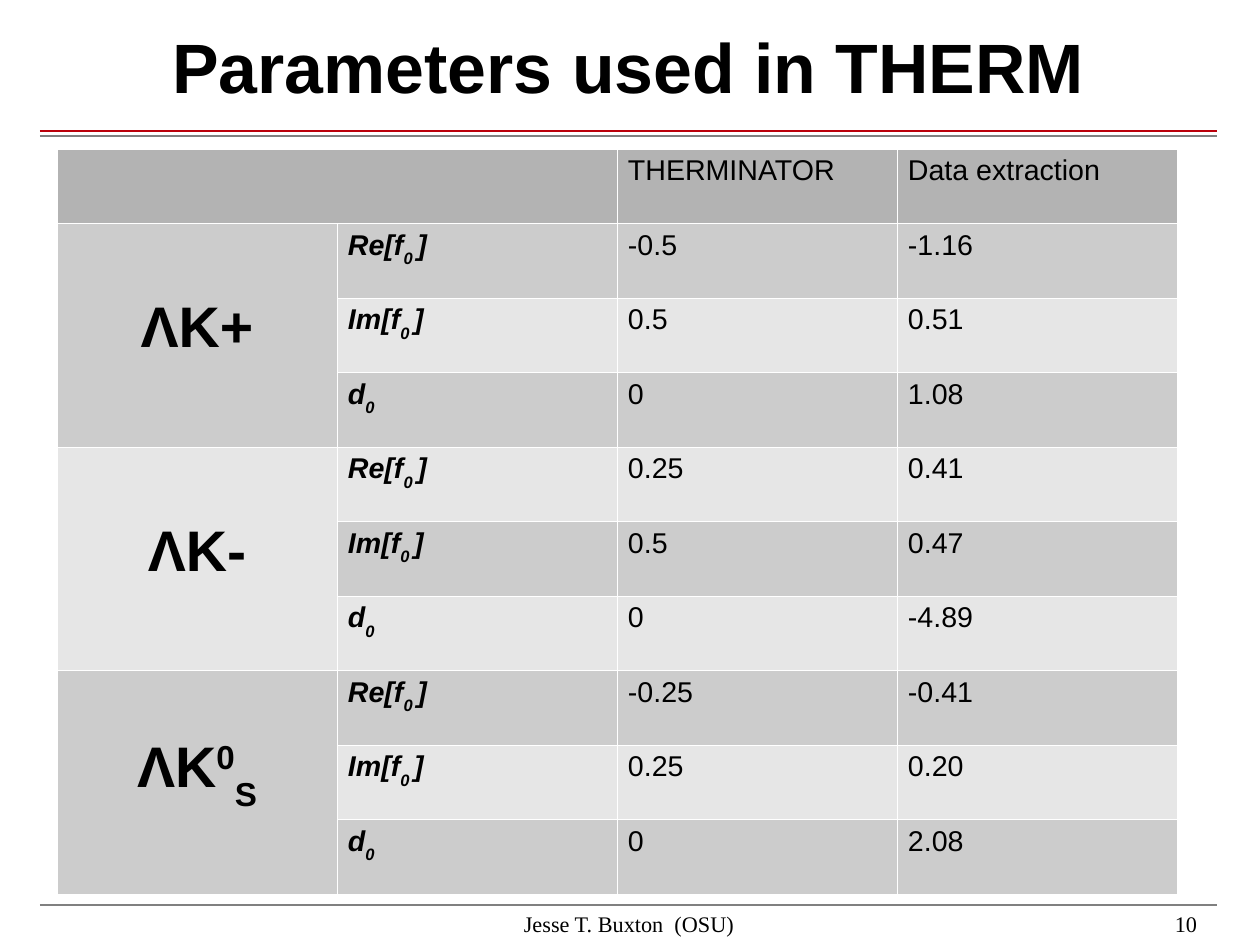
from lxml.etree import SubElement
from pptx import Presentation
from pptx.dml.color import RGBColor
from pptx.enum.shapes import MSO_CONNECTOR
from pptx.enum.text import MSO_ANCHOR, MSO_AUTO_SIZE, PP_ALIGN
from pptx.oxml.ns import qn
from pptx.util import Pt

PX = 8000
BLACK = RGBColor(0x00, 0x00, 0x00)
WHITE = RGBColor(0xFF, 0xFF, 0xFF)
GRAY = RGBColor(0x80, 0x80, 0x80)
RED = RGBColor(0xBB, 0x00, 0x0B)
HEADER = RGBColor(0xB3, 0xB3, 0xB3)
DARK = RGBColor(0xCC, 0xCC, 0xCC)
LIGHT = RGBColor(0xE6, 0xE6, 0xE6)


def add_runs(p, runs, size, font="Arial", bold=False, italic=False):
    for text, baseline in runs:
        r = p.add_run()
        r.text = text
        r.font.size = Pt(size)
        r.font.name = font
        r.font.bold = bold
        r.font.italic = italic
        r.font.color.rgb = BLACK
        if baseline:
            r._r.get_or_add_rPr().set("baseline", str(baseline * 1000))


def format_cell(cell, color):
    cell.margin_left = cell.margin_right = 11 * PX
    cell.margin_top = cell.margin_bottom = 6 * PX
    tcPr = cell._tc.get_or_add_tcPr()
    for side in ("a:lnL", "a:lnR", "a:lnT", "a:lnB"):
        ln = SubElement(tcPr, qn(side), w="720")
        fill = SubElement(ln, qn("a:solidFill"))
        SubElement(fill, qn("a:srgbClr"), val=str(WHITE))
    cell.fill.solid()
    cell.fill.fore_color.rgb = color


prs = Presentation()
prs.slide_width = 1260 * PX
prs.slide_height = 945 * PX
s = prs.slides.add_slide(prs.slide_layouts[5])
s.background.fill.solid()
s.background.fill.fore_color.rgb = WHITE

for y, color in ((905, GRAY), (136, GRAY), (131, RED)):
    line = s.shapes.add_connector(
        MSO_CONNECTOR.STRAIGHT, 40 * PX, y * PX, 1217 * PX, y * PX)
    line.line.color.rgb = color
    line.line.width = Pt(0.79)
    SubElement(line._element.spPr, qn("a:effectLst"))

title = s.shapes.title
title.left, title.top, title.width, title.height = 105 * PX, 1 * PX, 1048 * PX, 130 * PX
tf = title.text_frame
tf.margin_left = tf.margin_right = tf.margin_top = tf.margin_bottom = 0
tf.word_wrap = True
tf.auto_size = MSO_AUTO_SIZE.NONE
tf.vertical_anchor = MSO_ANCHOR.MIDDLE
tf.paragraphs[0].alignment = PP_ALIGN.CENTER
add_runs(tf.paragraphs[0], [("Parameters used in THERM", 0)], 44, bold=True)

table = s.shapes.add_table(10, 4, 57 * PX, 149 * PX, 1120 * PX, 745 * PX).table
table.first_row = False
table.horz_banding = False
for row in range(10):
    band = DARK if row % 2 else LIGHT
    for col in range(4):
        format_cell(table.cell(row, col), band if row else HEADER)

table.cell(0, 0).merge(table.cell(0, 1))
for col, heading in ((2, "THERMINATOR"), (3, "Data extraction")):
    add_runs(table.cell(0, col).text_frame.paragraphs[0], [(heading, 0)], 18)

parameters = [
    [("Re[f", 0), ("0 ", -33), ("]", 0)],
    [("Im[f", 0), ("0 ", -33), ("]", 0)],
    [("d", 0), ("0", -33)],
]
pairs = [
    ([("ΛK+", 0)], [("-0.5", "-1.16"), ("0.5", "0.51"), ("0", "1.08")]),
    ([("ΛK-", 0)], [("0.25", "0.41"), ("0.5", "0.47"), ("0", "-4.89")]),
    ([("ΛK", 0), ("0", 33), ("S", -33)],
     [("-0.25", "-0.41"), ("0.25", "0.20"), ("0", "2.08")]),
]
for i, (label, values) in enumerate(pairs):
    top = 1 + 3 * i
    cell = table.cell(top, 0)
    cell.merge(table.cell(top + 2, 0))
    cell.vertical_anchor = MSO_ANCHOR.MIDDLE
    cell.margin_bottom = 20 * PX
    p = cell.text_frame.paragraphs[0]
    p.alignment = PP_ALIGN.CENTER
    add_runs(p, label, 36, bold=True)
    for row, (parameter, numbers) in enumerate(zip(parameters, values), top):
        p = table.cell(row, 1).text_frame.paragraphs[0]
        add_runs(p, parameter, 18, bold=True, italic=True)
        for col, number in enumerate(numbers, 2):
            add_runs(table.cell(row, col).text_frame.paragraphs[0], [(number, 0)], 18)

for x, width, align, text in (
    (416, 426, PP_ALIGN.CENTER, "Jesse T. Buxton  (OSU)"),
    (903, 294, PP_ALIGN.RIGHT, "10"),
):
    sp = s.shapes.add_textbox(x * PX, 910 * PX, width * PX, 34 * PX)
    tf = sp.text_frame
    tf.margin_left = tf.margin_right = tf.margin_top = tf.margin_bottom = 0
    tf.word_wrap = True
    tf.paragraphs[0].alignment = align
    add_runs(tf.paragraphs[0], [(text, 0)], 14, "Times New Roman")

prs.save("out.pptx")
